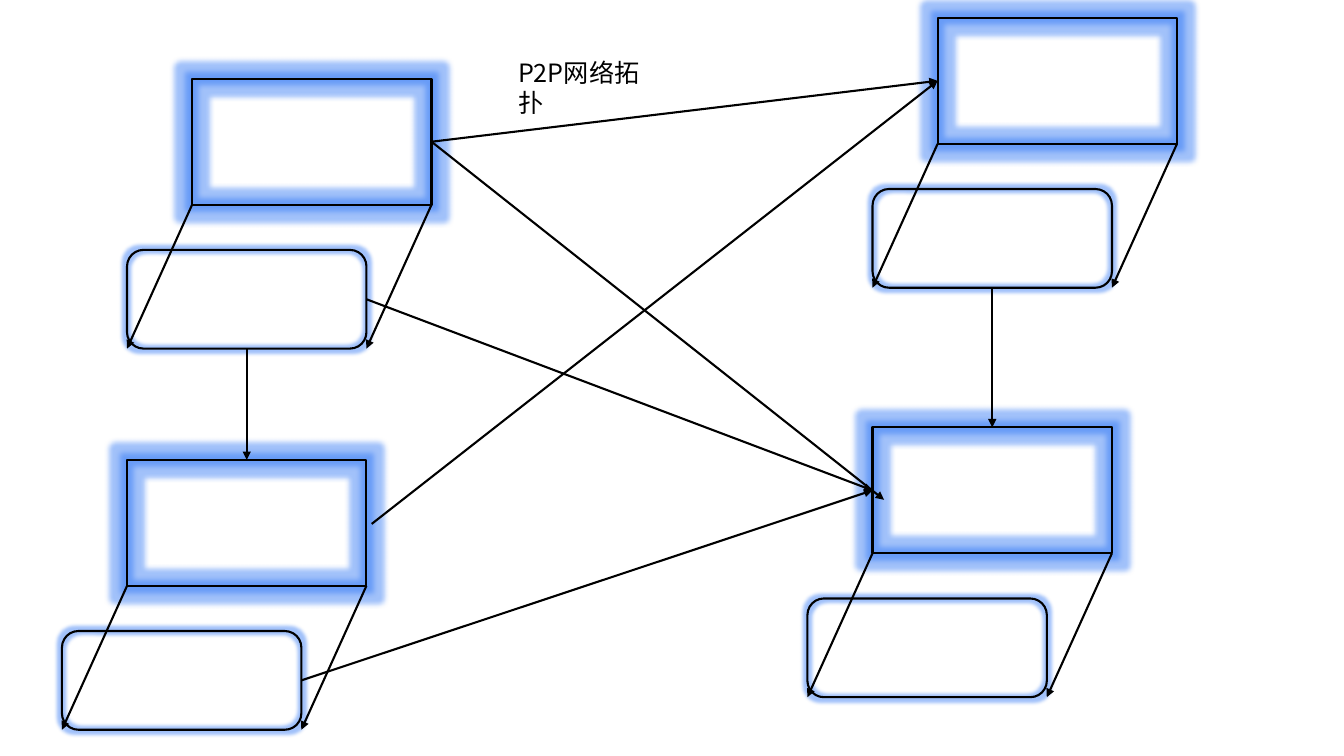
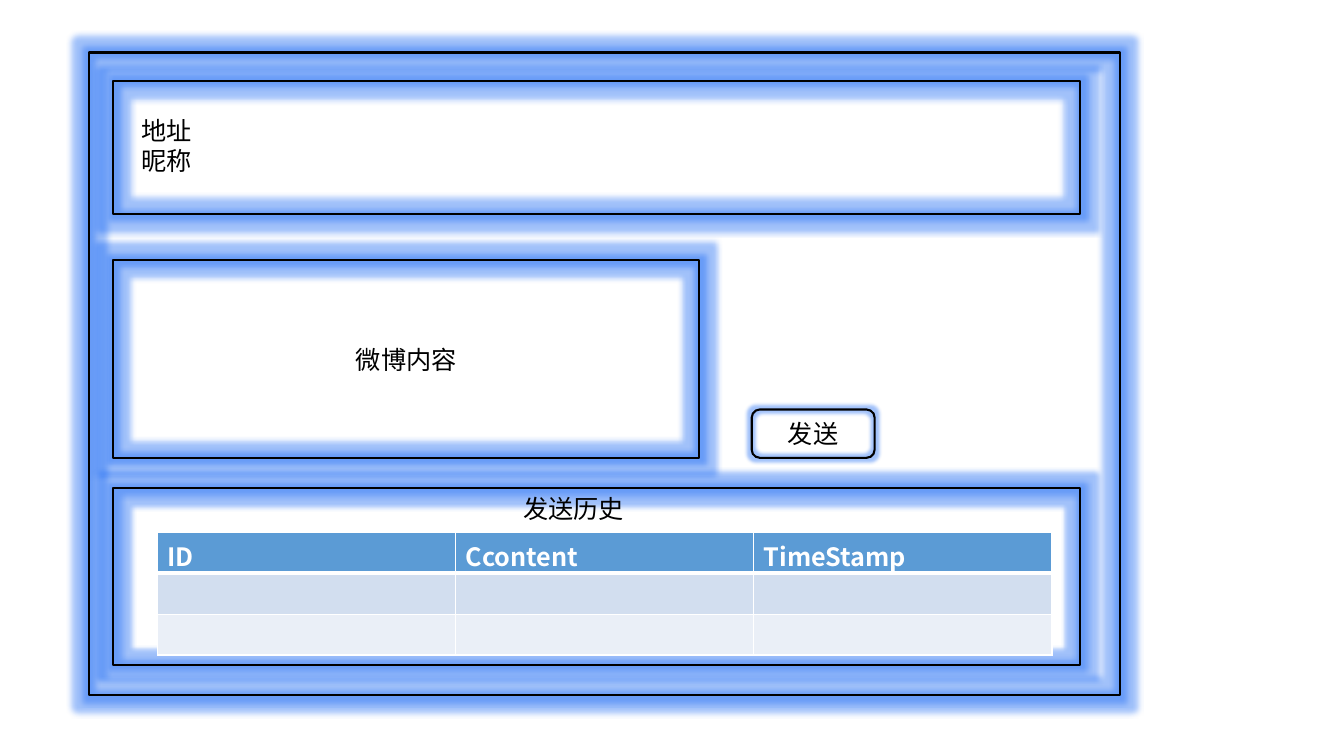
from lxml.etree import SubElement
from pptx import Presentation
from pptx.dml.color import RGBColor
from pptx.enum.shapes import MSO_CONNECTOR as CONNECTOR, MSO_SHAPE as SHAPE
from pptx.enum.text import MSO_ANCHOR as ANCHOR, PP_ALIGN as ALIGN
from pptx.oxml.ns import qn
from pptx.util import Emu, Pt

PX = 9525
FONT = "Noto Sans CJK SC"
COLORS = {
    "ink": "000000",
    "white": "FFFFFF",
    "glow": "1465F4",
    "header": "5B9BD5",
    "odd_row": "D2DEEF",
    "even_row": "EAEFF7",
}
TOP, LEFT, BOTTOM, RIGHT = range(4)

# Each peer is a screen with a keyboard shifted down and to the left
SCREEN_W, SCREEN_H, KEYBOARD_H = 228, 120, 94
SHIFT_X, SHIFT_Y = -62, 163


def px(*lengths):
    return [Emu(length * PX) for length in lengths]


def rgb(name):
    return RGBColor.from_string(COLORS[name])


# Shared styles
def style_line(line):
    line.color.rgb = rgb("ink")
    line.width = Pt(1.5)


def style_paragraph(paragraph, color="ink", bold=False, align=ALIGN.LEFT):
    paragraph.alignment = align
    font = paragraph.font
    font.size, font.bold = Pt(18), bold
    font.color.rgb = rgb(color)
    font.name = FONT
    defaults = paragraph._p.get_or_add_pPr().find(qn("a:defRPr"))
    SubElement(defaults, qn("a:ea"), typeface=FONT)


def add_glow(shape, points):
    shape.shadow.inherit = False
    effects = shape._element.spPr.find(qn("a:effectLst"))
    glow = SubElement(effects, qn("a:glow"), rad=str(Pt(points)))
    color = SubElement(glow, qn("a:srgbClr"), val=COLORS["glow"])
    SubElement(color, qn("a:alpha"), val="40000")


# Elements
def add_box(slide, x, y, w, h, text="", rounded=False):
    preset = SHAPE.ROUNDED_RECTANGLE if rounded else SHAPE.RECTANGLE
    box = slide.shapes.add_shape(preset, *px(x, y, w, h))
    box.fill.background()
    style_line(box.line)
    add_glow(box, 5 if rounded else 8)
    if text:
        box.text_frame.text = text
        box.text_frame.vertical_anchor = ANCHOR.MIDDLE
        style_paragraph(box.text_frame.paragraphs[0], align=ALIGN.CENTER)
    return box


def add_label(slide, x, y, w, h, text):
    frame = slide.shapes.add_textbox(*px(x, y, w, h)).text_frame
    frame.word_wrap = True
    frame.text = text
    for paragraph in frame.paragraphs:
        style_paragraph(paragraph)


def add_arrow(slide, start, end):
    """Each end is an (x, y) point or a (shape, side) pair."""
    arrow = slide.shapes.add_connector(CONNECTOR.STRAIGHT, 0, 0, 0, 0)
    if isinstance(start[0], int):
        arrow.begin_x, arrow.begin_y = px(*start)
    else:
        arrow.begin_connect(*start)
    if isinstance(end[0], int):
        arrow.end_x, arrow.end_y = px(*end)
    else:
        arrow.end_connect(*end)
    style_line(arrow.line)
    SubElement(arrow.line._get_or_add_ln(), qn("a:tailEnd"), type="triangle")
    SubElement(arrow._element.spPr, qn("a:effectLst"))


def add_peer(slide, x, y):
    screen = add_box(slide, x, y, SCREEN_W, SCREEN_H)
    keyboard = add_box(slide, x + SHIFT_X, y + SHIFT_Y, SCREEN_W, KEYBOARD_H,
                       rounded=True)
    for corner in (x, x + SCREEN_W):
        add_arrow(slide, (corner, y + SCREEN_H),
                  (corner + SHIFT_X, y + SHIFT_Y + KEYBOARD_H))
    return screen, keyboard


def set_borders(cell, bottom):
    properties = cell._tc.get_or_add_tcPr()
    widths = {"a:lnL": 1, "a:lnR": 1, "a:lnT": 1, "a:lnB": bottom}
    for position, (tag, width) in enumerate(widths.items()):
        border = SubElement(properties, qn(tag), w=str(Pt(width)))
        fill = SubElement(border, qn("a:solidFill"))
        SubElement(fill, qn("a:srgbClr"), val=COLORS["white"])
        properties.insert(position, border)


def add_history_table(slide, x, y, column_w, row_h, headings):
    row_fills = ("header", "odd_row", "even_row")
    rows, columns = len(row_fills), len(headings)
    table = slide.shapes.add_table(
        rows, columns, *px(x, y, column_w * columns, row_h * rows)).table
    for row, fill in enumerate(row_fills):
        for column, heading in enumerate(headings):
            cell = table.cell(row, column)
            cell.fill.solid()
            cell.fill.fore_color.rgb = rgb(fill)
            set_borders(cell, bottom=1 if row else 3)
            if row == 0:
                cell.text = heading
                style_paragraph(cell.text_frame.paragraphs[0], "white", True)


# Slides
def build_topology(slide):
    screen_a, keyboard_a = add_peer(slide, 183, 75)
    screen_b, keyboard_b = add_peer(slide, 893, 17)
    screen_c, keyboard_c = add_peer(slide, 121, 438)
    screen_d, _ = add_peer(slide, 831, 407)
    links = [
        ((screen_a, RIGHT), (screen_b, LEFT)),
        ((screen_a, RIGHT), (842, 476)),
        ((keyboard_a, BOTTOM), (screen_c, TOP)),
        ((keyboard_c, RIGHT), (screen_d, LEFT)),
        ((354, 499), (screen_b, LEFT)),
        ((keyboard_b, BOTTOM), (screen_d, TOP)),
        ((keyboard_a, RIGHT), (screen_d, LEFT)),
    ]
    for start, end in links:
        add_arrow(slide, start, end)
    add_label(slide, 484, 50, 156, 38, "P2P网络拓扑")


def build_client(slide):
    # Window and profile
    add_box(slide, 85, 50, 982, 612)
    add_box(slide, 108, 77, 921, 127)
    add_label(slide, 125, 105, 72, 68, "地址\n昵称")
    # Composer
    add_box(slide, 108, 248, 558, 188, "微博内容")
    add_box(slide, 716, 390, 117, 46, "发送", rounded=True)
    # History
    add_box(slide, 108, 465, 921, 168)
    add_label(slide, 489, 465, 120, 38, "发送历史")
    add_history_table(slide, 150, 507, 284, 39, ("ID", "Ccontent", "TimeStamp"))


def main():
    deck = Presentation()
    deck.slide_width, deck.slide_height = px(1280, 720)
    blank = deck.slide_layouts[6]
    for build in (build_topology, build_client):
        build(deck.slides.add_slide(blank))
    deck.save("out.pptx")


if __name__ == "__main__":
    main()
